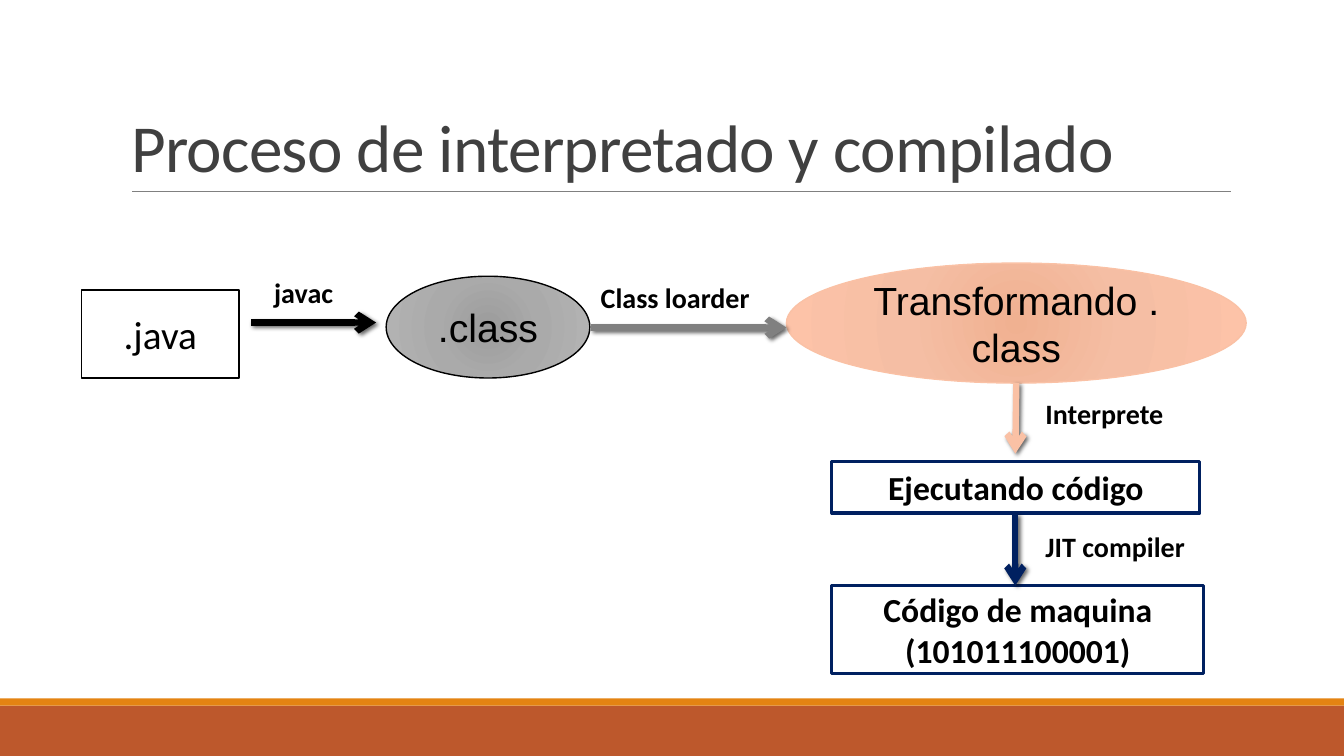
"""Build the slide on how Java code is compiled and interpreted."""
import lxml.etree
import pptx
import pptx.dml.color
import pptx.enum.shapes
import pptx.enum.text
import pptx.oxml
import pptx.oxml.ns
import pptx.util

Inches = pptx.util.Inches
Pt = pptx.util.Pt
SHAPE = pptx.enum.shapes.MSO_SHAPE
ANCHOR = pptx.enum.text.MSO_ANCHOR
ALIGN = pptx.enum.text.PP_ALIGN
qn = pptx.oxml.ns.qn

COLORS = {
    "black": "000000", "white": "FFFFFF", "title": "404040", "gray": "808080",
    "rust": "BD582C", "orange": "E48312", "peach": "FAC1A5", "navy": "002060",
}
GRAY_GRADIENT = ("9C9C9C", "AAAAAA", "B4B4B4")
PEACH_GRADIENT = ("F0B191", "F5BEA4", "FDC3A8")


def rgb(name):
    return pptx.dml.color.RGBColor.from_string(COLORS[name])


def set_font(p, size, name="Calibri", color="black", bold=False):
    p.font.size = Pt(size)
    p.font.name = name
    p.font.bold = bold
    p.font.color.rgb = rgb(color)


def add_title(slide, text):
    title = slide.shapes.title
    title.left, title.top = Inches(1.2), Inches(0.31)
    title.width, title.height = Inches(11), Inches(1.59)
    tf = title.text_frame
    tf.text = text
    tf.word_wrap = True
    tf.vertical_anchor = ANCHOR.BOTTOM
    p = tf.paragraphs[0]
    p.alignment = ALIGN.LEFT
    p.line_spacing = 0.85
    set_font(p, 48, color="title")
    p.runs[0].font._element.set("spc", "-50")


def add_shape(slide, kind, box, fill, line=None, width=1):
    sp = slide.shapes.add_shape(kind, *map(Inches, box))
    sp.shadow.inherit = False
    sp.fill.solid()
    sp.fill.fore_color.rgb = rgb(fill)
    if line:
        sp.line.color.rgb = rgb(line)
        sp.line.width = Pt(width)
    else:
        sp.line.fill.background()
    return sp


def write_centered(sp, text, size, name="Calibri", bold=False):
    tf = sp.text_frame
    tf.text = text
    tf.word_wrap = True
    tf.vertical_anchor = ANCHOR.MIDDLE
    p = tf.paragraphs[0]
    p.alignment = ALIGN.CENTER
    set_font(p, size, name, bold=bold)


def add_box(slide, box, text, size, line, width, bold=False):
    sp = add_shape(slide, SHAPE.RECTANGLE, box, "white", line, width)
    write_centered(sp, text, size, bold=bold)


def add_ellipse(slide, box, text, gradient, line):
    sp = add_shape(slide, SHAPE.OVAL, box, "white", line)
    stops = "".join(
        f'<a:gs pos="{pos}"><a:srgbClr val="{color}"/></a:gs>'
        for pos, color in zip((0, 45000, 100000), gradient))
    grad = pptx.oxml.parse_xml(
        f'<a:gradFill {pptx.oxml.ns.nsdecls("a")} rotWithShape="1">'
        f'<a:gsLst>{stops}</a:gsLst><a:path path="circle">'
        '<a:fillToRect l="100000" t="100000" r="100000" b="100000"/>'
        '</a:path></a:gradFill>')
    sp_pr = sp._element.spPr
    sp_pr.replace(sp_pr.find(qn("a:solidFill")), grad)
    write_centered(sp, text, 28, "Arial")


def add_line(slide, start, end, color, width):
    line = slide.shapes.add_connector(
        pptx.enum.shapes.MSO_CONNECTOR.STRAIGHT, *map(Inches, start + end))
    line.line.color.rgb = rgb(color)
    line.line.width = Pt(width)
    effects = lxml.etree.SubElement(line._element.spPr, qn("a:effectLst"))
    return line, effects


def add_arrow(slide, start, end, color):
    arrow, effects = add_line(slide, start, end, color, 4.5)
    ln = arrow.line._get_or_add_ln()
    lxml.etree.SubElement(ln, qn("a:tailEnd"), type="arrow")
    shadow = lxml.etree.SubElement(
        effects, qn("a:outerShdw"), blurRad=str(Pt(3)), dist=str(Pt(2)),
        dir="2700000", algn="tl", rotWithShape="0")
    black = lxml.etree.SubElement(shadow, qn("a:srgbClr"), val=COLORS["black"])
    lxml.etree.SubElement(black, qn("a:alpha"), val="60000")


def add_label(slide, left, top, width, text):
    tb = slide.shapes.add_textbox(*map(Inches, (left, top, width, 0.44)))
    tf = tb.text_frame
    tf.text = text
    tf.word_wrap = False
    tf.auto_size = pptx.enum.text.MSO_AUTO_SIZE.SHAPE_TO_FIT_TEXT
    set_font(tf.paragraphs[0], 20, bold=True)


def main():
    prs = pptx.Presentation()
    prs.slide_width, prs.slide_height = Inches(13.33), Inches(7.5)
    slide = prs.slides.add_slide(prs.slide_layouts[5])

    add_shape(slide, SHAPE.RECTANGLE, (0, 7, 13.33, 0.5), "rust")
    add_shape(slide, SHAPE.RECTANGLE, (0, 6.93, 13.33, 0.07), "orange")
    add_line(slide, (1.31, 1.9), (12.21, 1.9), "gray", 0.5)
    add_title(slide, "Proceso de interpretado y compilado")

    add_box(slide, (0.81, 2.88, 1.56, 0.87), ".java", 28, "black", 1.25)
    add_ellipse(slide, (7.8, 2.61, 4.56, 1.19), "Transformando .class",
                PEACH_GRADIENT, "peach")
    add_ellipse(slide, (3.83, 2.74, 2.02, 1.01), ".class",
                GRAY_GRADIENT, "black")
    add_box(slide, (8.25, 4.58, 3.65, 0.51), "Ejecutando código",
            24, "navy", 2.25, bold=True)
    add_box(slide, (8.25, 5.81, 3.69, 0.87), "Código de maquina (101011100001)",
            24, "navy", 2.25, bold=True)

    for start, end, color in (
            ((5.86, 3.25), (7.8, 3.25), "gray"),
            ((2.49, 3.2), (3.73, 3.2), "black"),
            ((10.08, 3.8), (10.07, 4.5), "peach"),
            ((10.07, 5.1), (10.07, 5.81), "navy")):
        add_arrow(slide, start, end, color)

    for left, top, width, text in (
            (5.86, 2.73, 1.69, "Class loarder"),
            (2.62, 2.68, 0.79, "javac"),
            (10.27, 3.88, 1.38, "Interprete"),
            (10.27, 5.2, 1.58, "JIT compiler")):
        add_label(slide, left, top, width, text)

    prs.save("out.pptx")


main()
